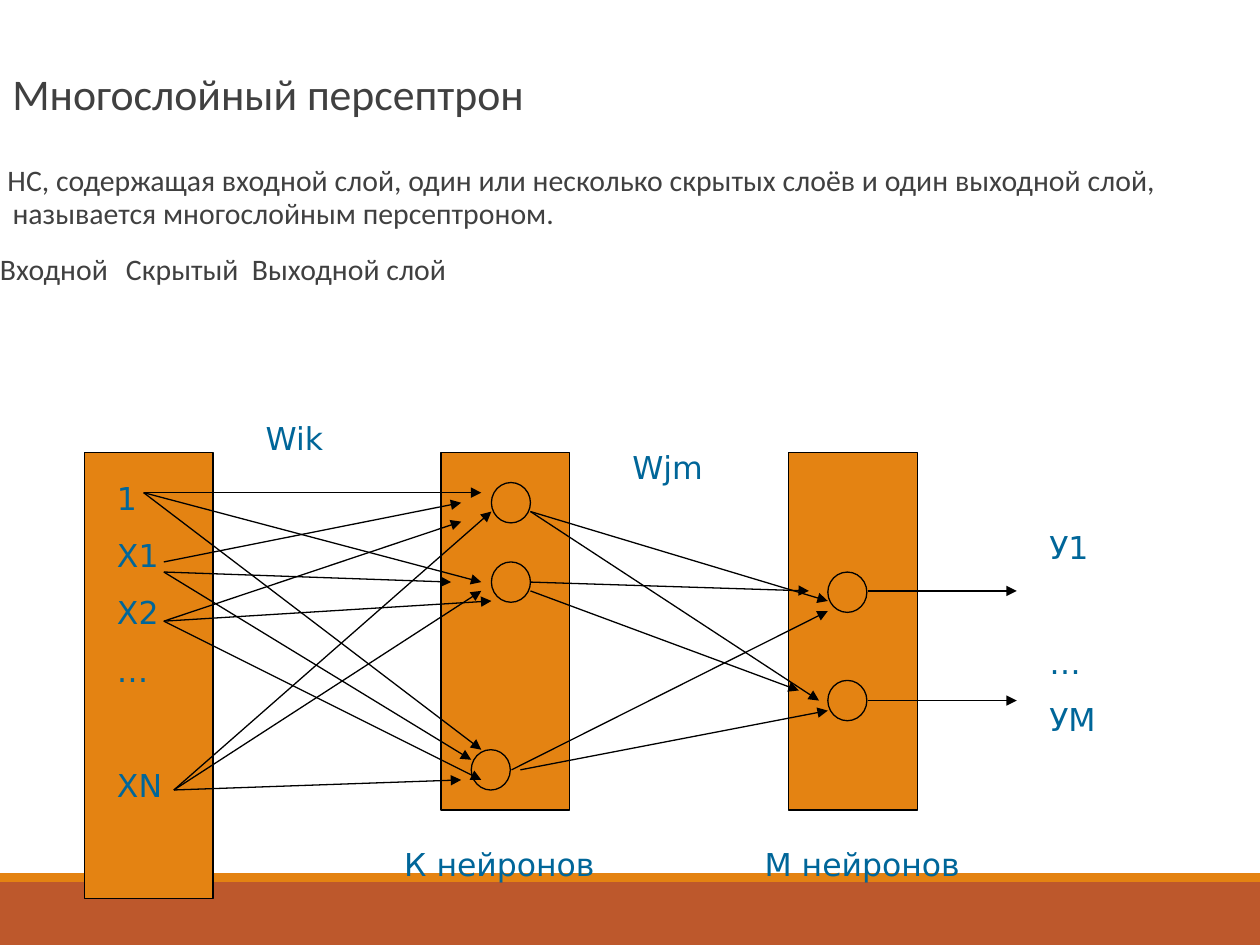
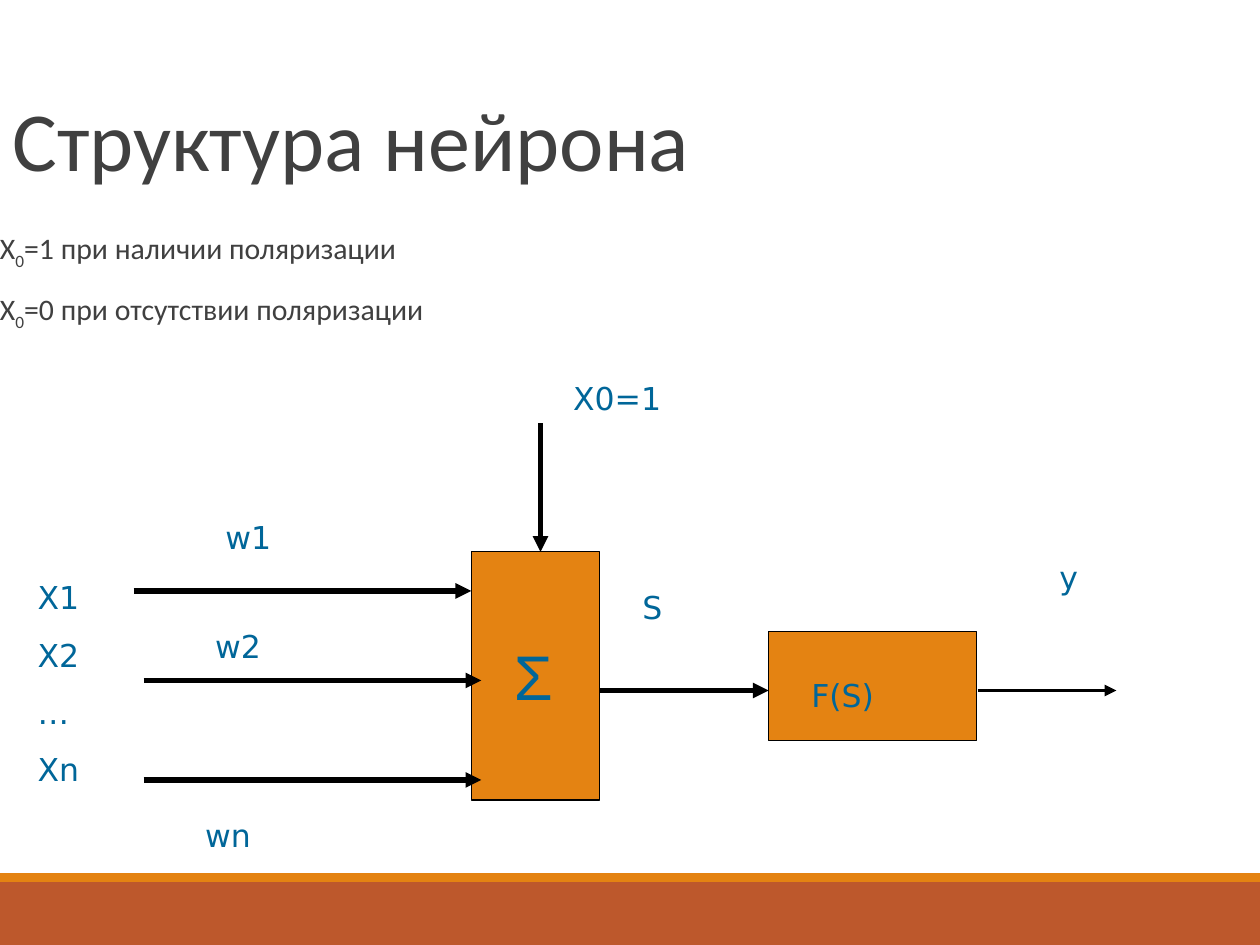
from lxml.etree import SubElement
from pptx import Presentation
from pptx.dml.color import RGBColor
from pptx.enum.shapes import MSO_CONNECTOR, MSO_SHAPE
from pptx.enum.text import MSO_ANCHOR
from pptx.oxml.ns import qn
from pptx.util import Inches, Pt

COLORS = {
    "band": "BD582C",
    "fill": "E48312",
    "line": "000000",
    "text": "404040",
    "label": "006699",
}


def rgb(name):
    return RGBColor.from_string(COLORS[name])


class Deck:
    """Holds the shared style and the current slide."""

    def __init__(self):
        self.prs = Presentation()
        self.prs.slide_width = Inches(10)
        self.prs.slide_height = Inches(7.5)
        self.slide = None

    def start(self, title, size, height):
        """Open a slide with its bottom bands and title."""
        self.slide = self.prs.slides.add_slide(self.prs.slide_layouts[6])
        self.shape(0, 7, 10, 0.5, fill="band", edge=False)
        self.shape(0, 6.93, 10, 0.07, edge=False)
        frame = self.frame(0, 0.3, 9, height)
        frame.vertical_anchor = MSO_ANCHOR.BOTTOM
        par = frame.paragraphs[0]
        par.text = title
        par.line_spacing = 0.85
        self.style(par, "Calibri", size, "text")

    def shape(self, x, y, w, h, kind=MSO_SHAPE.RECTANGLE, fill="fill", edge=True):
        item = self.slide.shapes.add_shape(
            kind, Inches(x), Inches(y), Inches(w), Inches(h))
        item.shadow.inherit = False
        item.fill.solid()
        item.fill.fore_color.rgb = rgb(fill)
        if edge:
            item.line.color.rgb = rgb("line")
            item.line.width = Pt(0.75)
        else:
            item.line.fill.background()

    def node(self, x, y):
        self.shape(x, y, 0.31, 0.32, MSO_SHAPE.OVAL)

    def arrow(self, start, end, width=0.75):
        points = [Inches(n) for n in (*start, *end)]
        item = self.slide.shapes.add_connector(MSO_CONNECTOR.STRAIGHT, *points)
        item.line.color.rgb = rgb("line")
        item.line.width = Pt(width)
        props = item._element.spPr
        SubElement(props.find(qn("a:ln")), qn("a:tailEnd"), type="triangle")
        SubElement(props, qn("a:effectLst"))

    def frame(self, x, y, w, h, side=0.1):
        box = self.slide.shapes.add_textbox(
            Inches(x), Inches(y), Inches(w), Inches(h))
        frame = box.text_frame
        frame.word_wrap = True
        frame.margin_left = frame.margin_right = Inches(side)
        return frame

    def style(self, par, font, size, color):
        par.font.name = font
        par.font.size = Pt(size)
        par.font.color.rgb = rgb(color)

    def label(self, x, y, w, *lines, h=0.4, font="DejaVu Sans", size=18, gaps=None):
        """Place label lines; gaps overrides the space before a line."""
        frame = self.frame(x, y, w, h)
        for i, line in enumerate(lines):
            par = frame.add_paragraph() if i else frame.paragraphs[0]
            par.text = line
            if i:
                par.space_before = Pt((gaps or {}).get(i, 11.2))
            self.style(par, font, size, "label")

    def body(self, y, w, h, *items):
        """Each item is (runs, left, indent, tabs); odd runs are subscripts."""
        frame = self.frame(0, y, w, h, side=0)
        for i, (runs, left, indent, tabs) in enumerate(items):
            par = frame.add_paragraph() if i else frame.paragraphs[0]
            for k, text in enumerate(runs):
                run = par.add_run()
                run.text = text
                if k % 2:
                    run._r.get_or_add_rPr().set("baseline", "-25000")
            props = par._p.get_or_add_pPr()
            props.set("marL", str(Inches(left)))
            props.set("indent", str(Inches(indent)))
            if tabs:
                stops = SubElement(props, qn("a:tabLst"))
                for pos in tabs:
                    SubElement(stops, qn("a:tab"), pos=str(Inches(pos)), algn="l")
            par.line_spacing = 0.9
            par.space_after = Pt(2)
            if i:
                par.space_before = Pt(12)
            self.style(par, "Calibri", 17, "text")


def layers(deck):
    deck.start("Многослойный персептрон", 25, 0.7)
    deck.body(
        1.27, 9.5, 6.2,
        (["НС, содержащая входной слой, один или несколько скрытых слоёв "
          "и один выходной слой, называется многослойным персептроном."],
         0.1, -0.04, []),
        (["Входной\tСкрытый\tВыходной слой"], 0, 0, [1.98, 3.56]))

    # Layer blocks
    for x, h in ((0.67, 3.54), (3.5, 2.84), (6.26, 2.84)):
        deck.shape(x, 3.59, 1.02, h)
    deck.label(0.83, 3.75, 0.63, "1", "Х1", "Х2", "…", "ХN", h=3.14, gaps={4: 44})

    # Neurons
    for spot in ((3.9, 3.83), (3.9, 4.46), (3.74, 5.95), (6.57, 4.54), (6.57, 5.4)):
        deck.node(*spot)

    # Links, grouped by starting point
    fans = {
        (1.14, 3.91): [(3.82, 3.91), (3.82, 4.62), (3.82, 5.95)],
        (1.3, 4.46): [(3.66, 3.99)],
        (1.3, 4.54): [(3.58, 4.62), (3.74, 6.03)],
        (1.3, 4.93): [(3.66, 4.14), (3.9, 4.77), (3.82, 6.19)],
        (1.38, 6.27): [(3.66, 6.19), (3.82, 4.69), (3.9, 4.06)],
        (4.21, 4.06): [(6.57, 4.77), (6.5, 5.56)],
        (4.21, 4.62): [(6.42, 4.69)],
        (4.21, 4.69): [(6.34, 5.48)],
        (4.06, 6.11): [(6.57, 4.85)],
        (4.13, 6.11): [(6.57, 5.64)],
        (6.89, 4.69): [(8.07, 4.69)],
        (6.89, 5.56): [(8.07, 5.56)],
    }
    for start, ends in fans.items():
        for end in ends:
            deck.arrow(start, end)

    # Labels
    deck.label(2.01, 3.28, 0.79, "Wik")
    deck.label(4.92, 3.51, 0.87, "Wjm")
    deck.label(8.23, 4.14, 0.87, "У1", "…", "УМ", h=1.77, gaps={1: 44})
    deck.label(3.11, 6.66, 2, "К нейронов")
    deck.label(5.97, 6.66, 2, "М нейронов")


def neuron(deck):
    deck.start("Структура нейрона", 48, 1.25)
    deck.body(
        1.78, 9.53, 4.87,
        *((["Х", "0", f"={value} при {state} поляризации"], 0.1, -0.1, [])
          for value, state in ((1, "наличии"), (0, "отсутствии"))))

    # Sum and activation blocks
    deck.shape(3.74, 4.38, 1.02, 1.97)
    deck.shape(6.1, 5.01, 1.65, 0.87)
    deck.label(3.98, 5.01, 0.63, "Σ", h=0.7, font="Arial", size=36)
    deck.label(6.34, 5.32, 1.18, "F(S)")

    # Signal arrows
    for start, end in (
        ((1.06, 4.69), (3.74, 4.69)),
        ((1.14, 5.4), (3.82, 5.4)),
        ((1.14, 6.19), (3.82, 6.19)),
        ((4.29, 3.36), (4.29, 4.38)),
        ((4.76, 5.48), (6.1, 5.48)),
    ):
        deck.arrow(start, end, 3)
    deck.arrow((7.76, 5.48), (8.86, 5.48), 2.25)

    # Signal labels
    deck.label(0.2, 4.54, 0.79, "Х1", "Х2", "…", "Хn", h=1.77)
    for x, y, w, text in (
        (4.45, 2.96, 1.02, "Х0=1"),
        (1.69, 4.06, 0.94, "w1"),
        (1.61, 4.93, 1.26, "w2"),
        (1.53, 6.43, 1.42, "wn"),
        (5, 4.62, 0.63, "S"),
        (8.31, 4.38, 0.79, "y"),
    ):
        deck.label(x, y, w, text)


def main():
    deck = Deck()
    layers(deck)
    neuron(deck)
    deck.prs.save("out.pptx")


if __name__ == "__main__":
    main()
